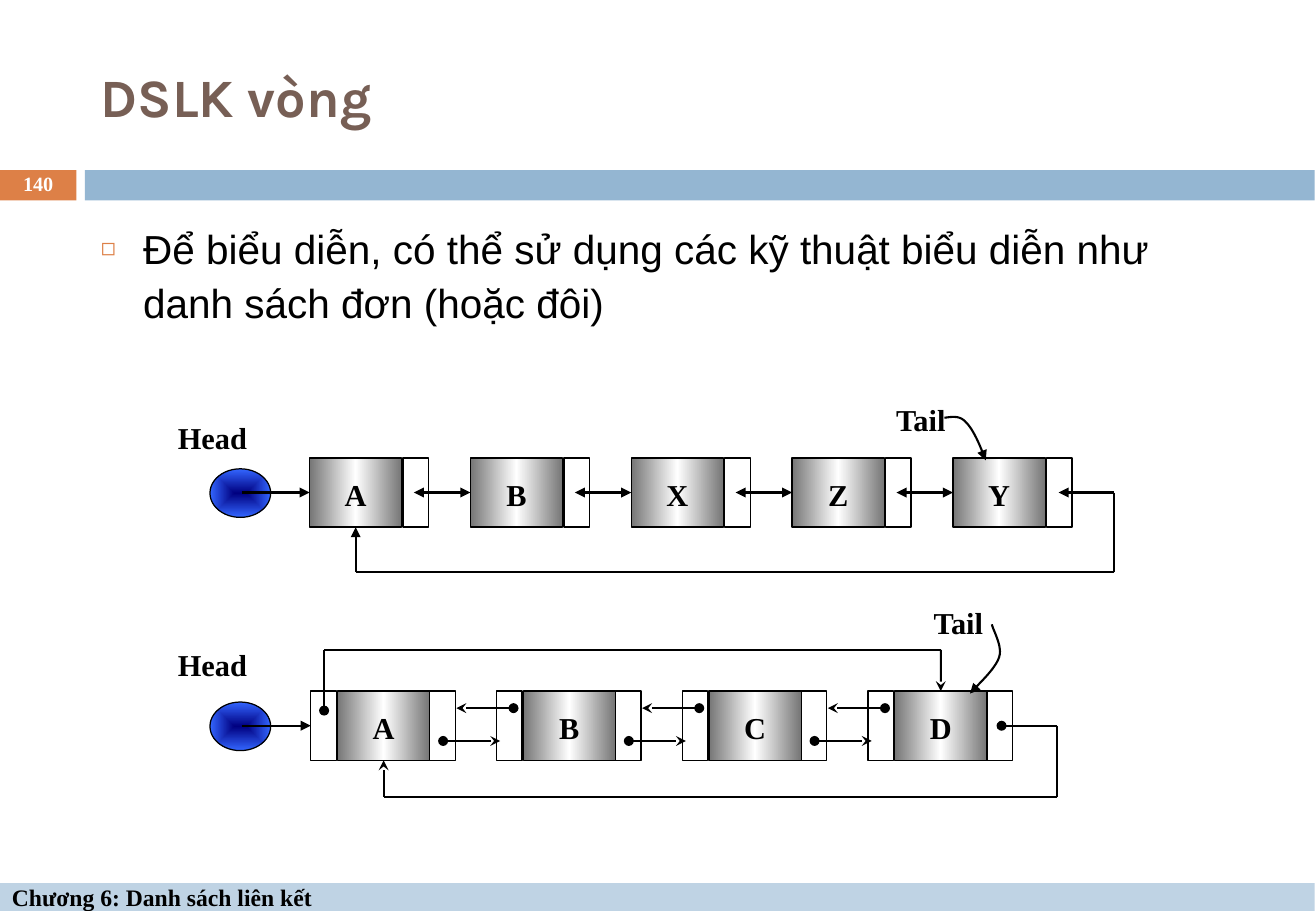
from dataclasses import dataclass

from lxml import etree
from pptx import Presentation
from pptx.dml.color import RGBColor
from pptx.enum.shapes import MSO_CONNECTOR, MSO_SHAPE
from pptx.enum.text import MSO_ANCHOR, MSO_AUTO_SIZE, PP_ALIGN
from pptx.oxml import parse_xml
from pptx.oxml.ns import nsdecls, qn
from pptx.util import Inches, Pt

RECT, OVAL = MSO_SHAPE.RECTANGLE, MSO_SHAPE.OVAL
STRAIGHT = MSO_CONNECTOR.STRAIGHT
MIDDLE, TOP = MSO_ANCHOR.MIDDLE, MSO_ANCHOR.TOP
LEFT, CENTER = PP_ALIGN.LEFT, PP_ALIGN.CENTER
NO_FIT = MSO_AUTO_SIZE.NONE
ABOVE, BEFORE, BELOW = 0, 1, 2  # connection sites of a rectangle

SERIF = "Times New Roman"
HEX = {
    "orange": "DD8047", "blue": "94B6D2", "pale": "BFD3E4", "brown": "775F55",
    "black": "000000", "white": "FFFFFF", "gray": "767676",
    "navy": "000080", "royal": "3366FF",
}
METAL = ([(0, "gray"), (50, "white"), (100, "gray")], '<a:lin ang="0" scaled="0"/>')
GLOW = ([(0, "navy"), (100, "royal")],
        '<a:path path="rect"><a:fillToRect l="50000" t="50000" r="50000" b="50000"/></a:path>')

NODE_W, CELL_W, NODE_H = 0.76, 0.21, 0.57


@dataclass
class Box:
    x: float
    y: float
    w: float
    h: float
    fill: str | tuple | None = None
    edge: bool = True
    kind: int = RECT
    text: str = ""


@dataclass
class Link:
    start: tuple
    end: tuple
    head: str = "none"
    tail: str = "none"
    goal: object = None
    side: int = BEFORE


@dataclass
class Label:
    text: str
    x: float
    y: float
    w: float


@dataclass
class Curve:
    points: list  # a start, then three points for each cubic piece


prs = Presentation()
prs.slide_width, prs.slide_height = Inches(10.84), Inches(7.5)
slide = prs.slides.add_slide(prs.slide_layouts[1])
shapes = slide.shapes


def color(name: str) -> RGBColor:
    return RGBColor.from_string(HEX[name])


def write(shape, text: str, *, size: float = 18, font: str = SERIF, ink: str = "black",
          bold: bool = True, align=CENTER, anchor=MIDDLE, inset=(0, 0, 0, 0),
          space: float | Pt = 1.0, bullet: str = "") -> None:
    frame = shape.text_frame
    frame.auto_size, frame.word_wrap = NO_FIT, True
    frame.vertical_anchor = anchor
    frame.margin_left, frame.margin_top, frame.margin_right, frame.margin_bottom = map(Inches, inset)
    frame.text = text
    para = frame.paragraphs[0]
    para.alignment, para.line_spacing, para.space_before = align, space, Pt(0)
    if bullet:
        props = para._p.get_or_add_pPr()
        props.set("marL", str(Inches(0.35)))
        props.set("indent", str(-Inches(0.35)))
        tint = etree.SubElement(props, qn("a:buClr"))
        etree.SubElement(tint, qn("a:srgbClr"), val=HEX["orange"])
        etree.SubElement(props, qn("a:buSzPct"), val="60000")
        etree.SubElement(props, qn("a:buChar"), char=bullet)
    para.font.size, para.font.name, para.font.bold = Pt(size), font, bold
    para.font.color.rgb = color(ink)


def place(shape, x: float, y: float, w: float, h: float) -> None:
    shape.left, shape.top, shape.width, shape.height = map(Inches, (x, y, w, h))


def shade(shape, stops: list, course: str) -> None:
    marks = "".join(f'<a:gs pos="{pos * 1000}"><a:srgbClr val="{HEX[name]}"/></a:gs>'
                    for pos, name in stops)
    grad = parse_xml(f'<a:gradFill {nsdecls("a")} rotWithShape="1">'
                     f'<a:gsLst>{marks}</a:gsLst>{course}</a:gradFill>')
    props = shape._element.spPr
    props.replace(props.find(qn("a:noFill")), grad)


def draw_box(box: Box):
    shape = shapes.add_shape(box.kind, *map(Inches, (box.x, box.y, box.w, box.h)))
    shape.shadow.inherit = False
    shape.fill.background()
    if isinstance(box.fill, tuple):
        shade(shape, *box.fill)
    elif box.fill:
        shape.fill.solid()
        shape.fill.fore_color.rgb = color(box.fill)
    if box.edge:
        shape.line.color.rgb, shape.line.width = color("black"), Pt(0.75)
    else:
        shape.line.fill.background()
    if box.text:
        write(shape, box.text, inset=(0, 0.03, 0, 0))
    return shape


def stroke(shape, head: str, tail: str) -> None:
    shape.line.color.rgb, shape.line.width = color("black"), Pt(1.25)
    line = shape._element.spPr.find(qn("a:ln"))
    etree.SubElement(line, qn("a:headEnd"), type=head)
    etree.SubElement(line, qn("a:tailEnd"), type=tail)


def draw_link(link: Link) -> None:
    wire = shapes.add_connector(STRAIGHT, *map(Inches, link.start + link.end))
    if link.goal is not None:
        wire.end_connect(link.goal, link.side)
    stroke(wire, link.head, link.tail)
    etree.SubElement(wire._element.spPr, qn("a:effectLst"))


def draw_label(label: Label) -> None:
    write(shapes.add_textbox(*map(Inches, (label.x, label.y, label.w, 0.4))), label.text)


def draw_curve(curve: Curve, steps: int = 12) -> None:
    pts = [(Inches(x), Inches(y)) for x, y in curve.points]
    dots = []
    for i in range(0, len(pts) - 1, 3):
        for t in (n / steps for n in range(1, steps + 1)):
            u = 1 - t
            parts = (u ** 3, 3 * u * u * t, 3 * u * t * t, t ** 3)
            dots.append(tuple(round(sum(k * p[axis] for k, p in zip(parts, pts[i:i + 4])))
                              for axis in (0, 1)))
    pen = shapes.build_freeform(*pts[0])
    pen.add_line_segments(dots, close=False)
    shape = pen.convert_to_shape()
    shape.shadow.inherit = False
    shape.fill.background()
    stroke(shape, "none", "triangle")


# Title and list
title, body = shapes.title, slide.placeholders[1]
pad = (0.1, 0.05, 0.1, 0.05)
place(title, 0.73, 0.25, 9.66, 1.08)
write(title, "DSLK vòng", size=32, font="Karla", ink="brown", align=LEFT, inset=pad)
place(body, 0.73, 1.75, 9.66, 4.92)
write(body, "Để biểu diễn, có thể sử dụng các kỹ thuật biểu diễn như danh sách đơn (hoặc đôi)",
      size=24, font="Arial", bold=False, align=LEFT, anchor=TOP, inset=pad,
      space=Pt(32), bullet="◻")

# Bands, page number and footer
draw_box(Box(0, 1.4, 0.63, 0.25, "orange", False))
draw_box(Box(0.7, 1.4, 10.13, 0.25, "blue", False))
foot = draw_box(Box(0, 7.27, 10.83, 0.23, "pale", False))
write(foot, "Chương 6: Danh sách liên kết", size=14, align=LEFT, inset=pad)
page = shapes.add_textbox(*map(Inches, (0, 1.39, 0.63, 0.27)))
write(page, "140", size=12, ink="white", inset=pad, space=0.8)

# Ring with one pointer cell per node
top, low, far = 3.77, 4.71, 9.18
mid = top + NODE_H / 2
cols = [2.55 + 1.325 * i for i in range(5)]
for x in cols:
    draw_box(Box(x + 0.77, top, CELL_W, NODE_H, "white"))
draw_box(Box(1.73, 3.86, 0.5, 0.4, GLOW, kind=OVAL))
ring = [draw_box(Box(x, top, NODE_W, NODE_H, METAL, text=name)) for x, name in zip(cols, "ABXZY")]
links = [Link((x + 0.86, mid), (x + 1.33, mid), "triangle", "triangle", node)
         for x, node in zip(cols, ring[1:])]
links += [
    Link((1.99, mid), (2.55, mid), tail="triangle", goal=ring[0]),
    Link((8.72, mid), (far, mid), head="triangle"),
    Link((far, mid), (far, low)),
    Link((far, low), (2.93, low)),
    Link((2.93, low), (2.93, 4.34), tail="triangle", goal=ring[0], side=BELOW),
]

# Ring with two pointer cells per node
top, low, far, high = 5.69, 6.56, 8.71, 5.35
mid = top + NODE_H / 2
cols = [2.78 + 1.53 * i for i in range(4)]
draw_box(Box(1.73, 5.78, 0.5, 0.4, GLOW, kind=OVAL))
pairs, prior = [], []
for x, name in zip(cols, "ABCD"):
    draw_box(Box(x + NODE_W, top, CELL_W, NODE_H))
    pairs.append(draw_box(Box(x, top, NODE_W, NODE_H, METAL, text=name)))
    prior.append(draw_box(Box(x - 0.22, top, CELL_W, NODE_H)))
for x in cols[:-1]:
    links += [Link((x + 0.87, 6.1), (x + 1.34, 6.1), "oval", "stealth"),
              Link((x + 1.45, 5.83), (x + 0.98, 5.83), "oval", "stealth")]
links += [
    Link((1.99, mid), (2.56, mid), tail="triangle", goal=prior[0]),
    Link((8.25, mid), (far, mid), head="oval"),
    Link((far, mid), (far, low)),
    Link((far, low), (3.16, low)),
    Link((3.16, low), (3.16, 6.26), tail="stealth", goal=pairs[0], side=BELOW),
    Link((2.67, high), (2.67, 5.85), tail="oval"),
    Link((7.75, high), (2.67, high)),
    Link((7.75, high), (7.75, top), tail="stealth", goal=pairs[-1], side=ABOVE),
]
for link in links:
    draw_link(link)

# Head and tail marks
for label in (Label("Head", 1.29, 3.4, 0.92), Label("Tail", 7.2, 3.25, 0.77),
              Label("Head", 1.29, 5.27, 0.92), Label("Tail", 7.51, 4.92, 0.77)):
    draw_label(label)
for curve in (
    Curve([(7.78, 3.44), (7.85, 3.43), (7.91, 3.42), (7.96, 3.48),
           (8.02, 3.54), (8.07, 3.66), (8.12, 3.79)]),
    Curve([(8.17, 5.14), (8.18, 5.19), (8.26, 5.32), (8.23, 5.41),
           (8.2, 5.51), (8.04, 5.65), (7.99, 5.71)]),
):
    draw_curve(curve)

prs.save("out.pptx")
